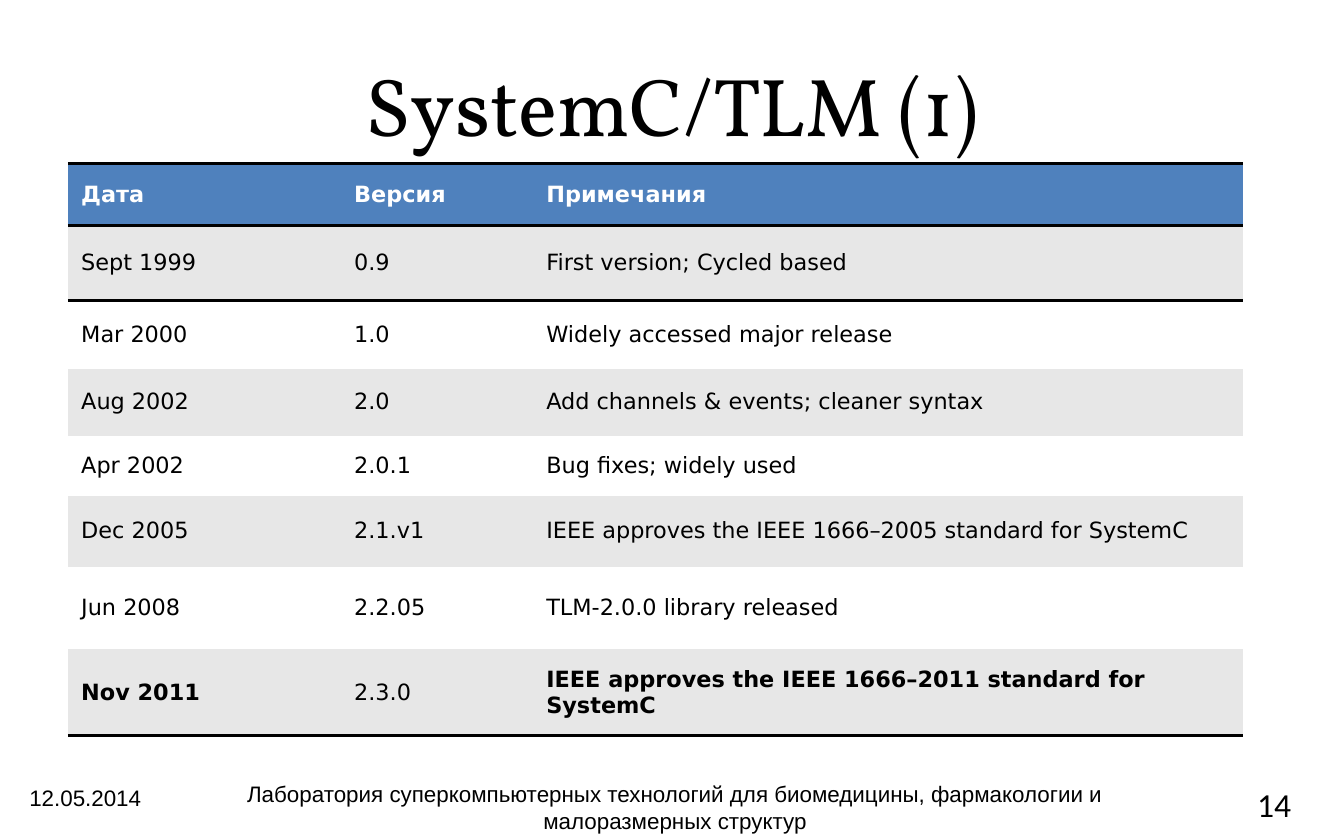
from dataclasses import dataclass

from lxml import etree
from pptx import Presentation
from pptx.dml.color import RGBColor
from pptx.enum.text import MSO_ANCHOR, PP_ALIGN
from pptx.oxml.ns import qn
from pptx.util import Pt

LEFT, CENTER = PP_ALIGN.LEFT, PP_ALIGN.CENTER
TOP, MIDDLE = MSO_ANCHOR.TOP, MSO_ANCHOR.MIDDLE
TITLE_ONLY = 5
PLAIN_TABLE_STYLE = "{2D5ABB26-0587-4C30-8999-92F81FD0307C}"


@dataclass(frozen=True)
class Theme:
    ink: str = "000000"
    paper: str = "FFFFFF"
    header: str = "4F81BD"
    band: str = "E7E7E7"
    title_font: str = "Vollkorn"
    table_font: str = "DejaVu Sans"
    footer_font: str = "Arial"
    number_font: str = "Calibri"
    title_size: float = 44
    body_size: float = 12
    number_size: float = 18
    rule_width: float = 2


THEME = Theme()
COLUMN_WIDTHS = (146.2, 103, 380.2)
ROW_HEIGHTS = (33.2, 40.2, 36.4, 35.9, 32.1, 38.1, 44.4, 46.1)
RELEASES = (
    ("Дата", "Версия", "Примечания"),
    ("Sept 1999", "0.9", "First version; Cycled based"),
    ("Mar 2000", "1.0", "Widely accessed major release"),
    ("Aug 2002", "2.0", "Add channels & events; cleaner syntax"),
    ("Apr 2002", "2.0.1", "Bug fixes; widely used"),
    ("Dec 2005", "2.1.v1", "IEEE approves the IEEE 1666–2005 standard for SystemC"),
    ("Jun 2008", "2.2.05", "TLM-2.0.0 library released"),
    ("Nov 2011", "2.3.0", "IEEE approves the IEEE 1666–2011 standard for SystemC"),
)


def write(frame, text, font, size, color=THEME.ink, bold=False, align=LEFT):
    para = frame.paragraphs[0]
    para.alignment = align
    span = para.add_run()
    span.text = text
    formats = {"name": font, "size": Pt(size), "bold": bold}
    for name, value in formats.items():
        setattr(span.font, name, value)
    span.font.color.rgb = RGBColor.from_string(color)


def place(shape, box):
    for name, value in zip(("left", "top", "width", "height"), box):
        setattr(shape, name, Pt(value))


def add_title(page, box, text):
    title = page.shapes.title
    place(title, box)
    title.text_frame.vertical_anchor = MIDDLE
    title.text_frame.word_wrap = True
    write(title.text_frame, text, THEME.title_font, THEME.title_size, align=CENTER)


def add_label(page, box, text, font, size, align=LEFT):
    label = page.shapes.add_textbox(*map(Pt, box))
    label.text_frame.word_wrap = True
    label.text_frame.vertical_anchor = TOP
    write(label.text_frame, text, font, size, align=align)


def rule_cell(cell, sides):
    properties = cell._tc.get_or_add_tcPr()
    for side in sides:
        line = etree.SubElement(properties, qn(f"a:ln{side}"), w=str(Pt(THEME.rule_width)))
        fill = etree.SubElement(line, qn("a:solidFill"))
        etree.SubElement(fill, qn("a:srgbClr"), val=THEME.ink)


def add_release_table(page, box, rows):
    frame = page.shapes.add_table(len(rows), len(rows[0]), *map(Pt, box))
    table = frame.table
    table._tbl.tblPr.find(qn("a:tableStyleId")).text = PLAIN_TABLE_STYLE
    for column, width in zip(table.columns, COLUMN_WIDTHS):
        column.width = Pt(width)
    for row, height in zip(table.rows, ROW_HEIGHTS):
        row.height = Pt(height)

    last = len(rows) - 1
    for row_index, values in enumerate(rows):
        is_header = row_index == 0
        banded = THEME.band if row_index % 2 else THEME.paper
        for column_index, text in enumerate(values):
            cell = table.cell(row_index, column_index)
            cell.vertical_anchor = MIDDLE
            rule_cell(cell, {0: "TB", 1: "T", last: "B"}.get(row_index, ""))
            cell.fill.solid()
            cell.fill.fore_color.rgb = RGBColor.from_string(THEME.header if is_header else banded)
            write(
                cell.text_frame, text, THEME.table_font, THEME.body_size,
                color=THEME.paper if is_header else THEME.ink,
                bold=is_header or (row_index == last and column_index != 1),
            )


def add_footer(page, box):
    left, top, width, height = box
    add_label(page, (left, top + 2, 79, height), "12.05.2014",
              THEME.footer_font, THEME.body_size)
    add_label(page, (left + 73.4, top, 559.4, height),
              "Лаборатория суперкомпьютерных технологий для биомедицины, "
              "фармакологии и малоразмерных структур",
              THEME.footer_font, THEME.body_size, CENTER)
    add_label(page, (left + width - 40, top + 2, 40, height), "14",
              THEME.number_font, THEME.number_size)


def main():
    deck = Presentation()
    deck.slide_width, deck.slide_height = Pt(720), Pt(448)
    page = deck.slides.add_slide(deck.slide_layouts[TITLE_ONLY])
    add_title(page, (36, 18, 648, 75), "SystemC/TLM (1)")
    add_footer(page, (8.6, 414.7, 697.7, 24))
    add_release_table(page, (36.3, 87.8, sum(COLUMN_WIDTHS), sum(ROW_HEIGHTS)), RELEASES)
    deck.save("out.pptx")


if __name__ == "__main__":
    main()
